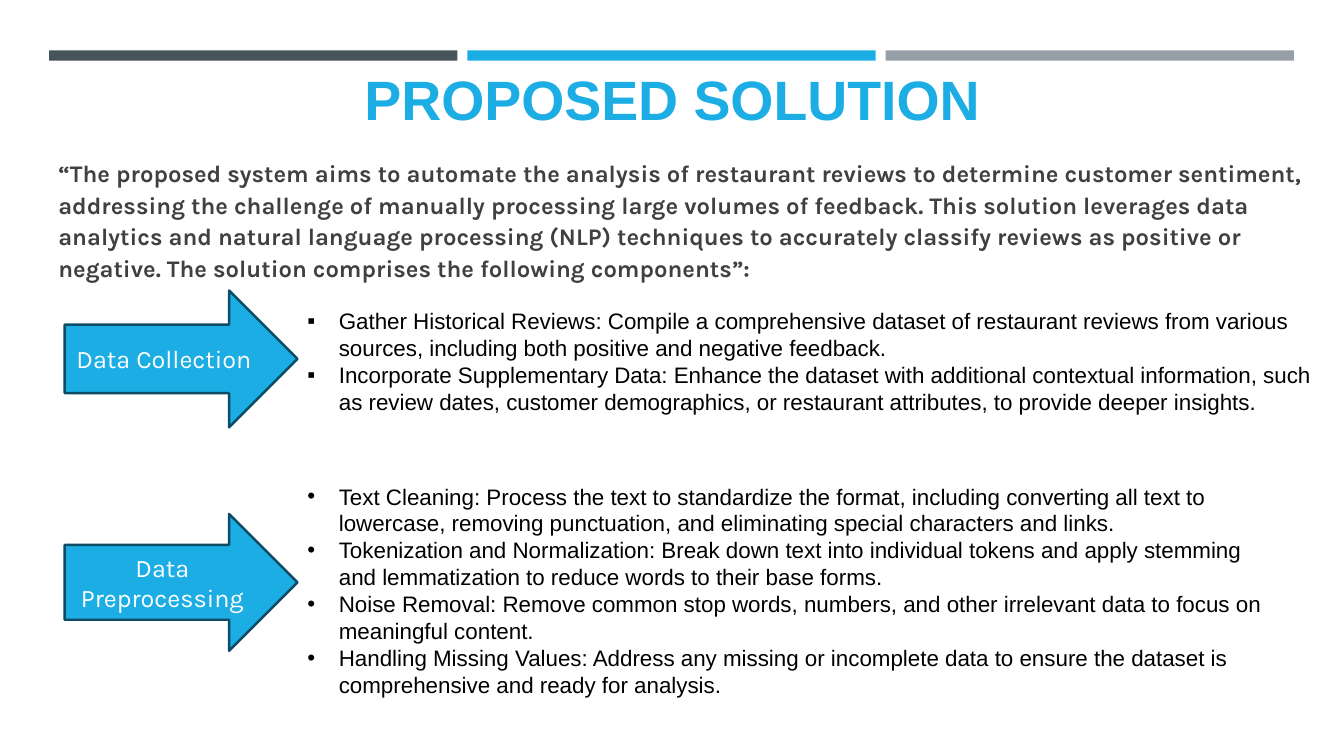
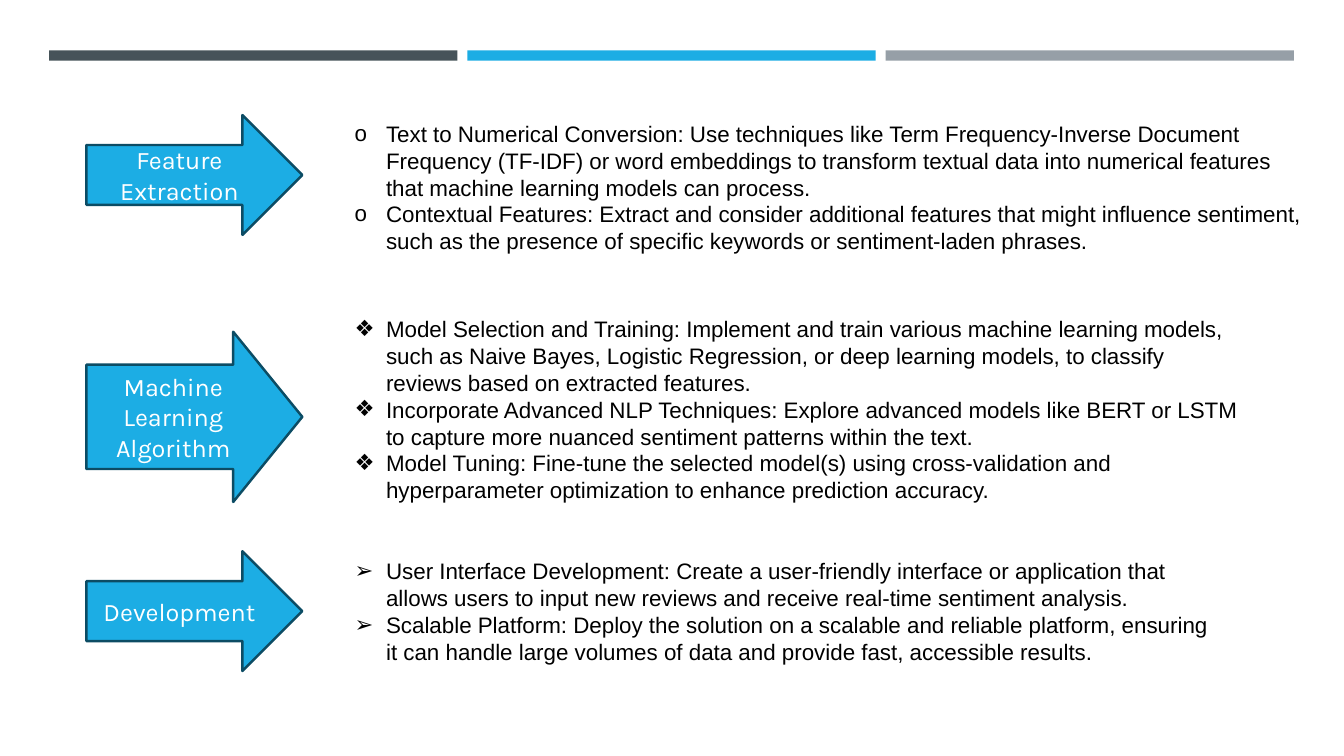
from dataclasses import dataclass

from lxml.etree import SubElement
from pptx import Presentation
from pptx.dml.color import RGBColor
from pptx.enum.shapes import MSO_SHAPE
from pptx.enum.text import MSO_ANCHOR, PP_ALIGN
from pptx.oxml.ns import qn
from pptx.util import Cm, Pt


@dataclass(frozen=True)
class Theme:
    accent: str = "1CADE4"
    outline: str = "0C4C64"
    bands: tuple = ("465359", "1CADE4", "969FA7")
    intro: str = "404040"
    body: str = "000000"
    label: str = "FFFFFF"
    body_font: str = "Arial"
    label_font: str = "Karla"
    title_size: float = 39.6
    intro_size: float = 17
    label_size: float = 18
    body_size: float = 16
    body_leading: float = 19.2


class Deck:
    """Holds the theme, the presentation and the slide being built."""

    def __init__(self, theme):
        self.theme = theme
        self.prs = Presentation()
        self.prs.slide_width, self.prs.slide_height = Cm(33.87), Cm(19.05)
        self.s = None

    def add_slide(self):
        self.s = self.prs.slides.add_slide(self.prs.slide_layouts[6])
        for i, color in enumerate(self.theme.bands):
            self._shape(MSO_SHAPE.RECTANGLE, 1.24 + 10.54 * i, 1.27, 10.29, 0.26, color)

    def _shape(self, kind, x, y, w, h, color):
        sp = self.s.shapes.add_shape(kind, Cm(x), Cm(y), Cm(w), Cm(h))
        sp.shadow.inherit = False
        sp.fill.solid()
        sp.fill.fore_color.rgb = RGBColor.from_string(color)
        sp.line.fill.background()
        return sp

    def _text(self, x, y, w, h, text, anchor=MSO_ANCHOR.TOP):
        tf = self.s.shapes.add_textbox(Cm(x), Cm(y), Cm(w), Cm(h)).text_frame
        tf.word_wrap = True
        tf.vertical_anchor = anchor
        tf.text = text
        return tf

    def _format(self, tf, font, size, color, bold=False, align=PP_ALIGN.LEFT):
        for p in tf.paragraphs:
            p.alignment = align
            for r in p.runs:
                r.font.name, r.font.size, r.font.bold = font, Pt(size), bold
                r.font.color.rgb = RGBColor.from_string(color)

    def title(self, text):
        t = self.theme
        tf = self._text(1.63, 1.96, 30.63, 1.47, text, MSO_ANCHOR.BOTTOM)
        self._format(tf, t.body_font, t.title_size, t.accent, True, PP_ALIGN.CENTER)

    def intro(self, text):
        t = self.theme
        tf = self._text(1.22, 4.01, 32.26, 3.02, text, MSO_ANCHOR.MIDDLE)
        p = tf.paragraphs[0]
        p.line_spacing, p.space_before, p.space_after = 1.1, Pt(3.4), Pt(6)
        self._format(tf, t.label_font, t.intro_size, t.intro, True)

    def arrow(self, x, y, w, h, label, adjust=(0.5, 0.5)):
        t = self.theme
        sp = self._shape(MSO_SHAPE.RIGHT_ARROW, x, y, w, h, t.accent)
        sp.adjustments[0], sp.adjustments[1] = adjust
        sp.line.color.rgb = RGBColor.from_string(t.outline)
        sp.line.width = Pt(1.75)
        tf = sp.text_frame
        tf.word_wrap = True
        tf.vertical_anchor = MSO_ANCHOR.MIDDLE
        tf.text = label
        self._format(tf, t.label_font, t.label_size, t.label, align=PP_ALIGN.CENTER)

    def bullets(self, x, y, w, h, mark, items):
        t = self.theme
        tf = self._text(x, y, w, h, "\n".join(items))
        self._format(tf, t.body_font, t.body_size, t.body)
        for p in tf.paragraphs:
            p.line_spacing = Pt(t.body_leading)
            pPr = p._p.get_or_add_pPr()
            pPr.set("marL", str(Cm(0.79)))
            pPr.set("indent", str(-Cm(0.79)))
            SubElement(pPr, qn("a:buFont"), typeface=t.body_font)
            SubElement(pPr, qn("a:buChar"), char=mark)

    def save(self):
        self.prs.save("out.pptx")


def proposed_solution(deck):
    deck.add_slide()
    deck.title("PROPOSED SOLUTION")
    deck.intro(
        "“The proposed system aims to automate the analysis of restaurant reviews to "
        "determine customer sentiment, addressing the challenge of manually processing "
        "large volumes of feedback. This solution leverages data analytics and natural "
        "language processing (NLP) techniques to accurately classify reviews as positive "
        "or negative. The solution comprises the following components”:")
    left, width, height = 1.63, 5.87, 3.45
    text_left = left + width
    deck.arrow(left, 7.32, width, height, "Data Collection")
    deck.bullets(text_left, 7.62, 25.81, 3.68, "▪", [
        "Gather Historical Reviews: Compile a comprehensive dataset of restaurant reviews "
        "from various sources, including both positive and negative feedback.",
        "Incorporate Supplementary Data: Enhance the dataset with additional contextual "
        "information, such as review dates, customer demographics, or restaurant "
        "attributes, to provide deeper insights."])
    deck.arrow(left, 12.95, width, height, "Data\nPreprocessing", (0.547, 0.5))
    deck.bullets(text_left, 12.04, 24.77, 5.74, "•", [
        "Text Cleaning: Process the text to standardize the format, including converting "
        "all text to lowercase, removing punctuation, and eliminating special characters "
        "and links.",
        "Tokenization and Normalization: Break down text into individual tokens and apply "
        "stemming and lemmatization to reduce words to their base forms.",
        "Noise Removal: Remove common stop words, numbers, and other irrelevant data to "
        "focus on meaningful content.",
        "Handling Missing Values: Address any missing or incomplete data to ensure the "
        "dataset is comprehensive and ready for analysis."])


def modelling_and_development(deck):
    deck.add_slide()
    left, width, height = 2.18, 5.44, 3.02
    text_left = 8.69
    deck.arrow(left, 2.9, width, height, "Feature Extraction")
    deck.bullets(text_left, 2.9, 24.36, 3.68, "o", [
        "Text to Numerical Conversion: Use techniques like Term Frequency-Inverse Document "
        "Frequency (TF-IDF) or word embeddings to transform textual data into numerical "
        "features that machine learning models can process.",
        "Contextual Features: Extract and consider additional features that might influence "
        "sentiment, such as the presence of specific keywords or sentiment-laden phrases."])
    deck.arrow(left, 8.36, width, 4.29, "Machine\nLearning\nAlgorithm", (0.613, 0.406))
    deck.bullets(text_left, 7.82, 22.91, 5.05, "❖", [
        "Model Selection and Training: Implement and train various machine learning models, "
        "such as Naive Bayes, Logistic Regression, or deep learning models, to classify "
        "reviews based on extracted features.",
        "Incorporate Advanced NLP Techniques: Explore advanced models like BERT or LSTM to "
        "capture more nuanced sentiment patterns within the text.",
        "Model Tuning: Fine-tune the selected model(s) using cross-validation and "
        "hyperparameter optimization to enhance prediction accuracy."])
    deck.arrow(left, 13.89, width, height, "Development")
    deck.bullets(text_left, 13.92, 22.43, 3, "➢", [
        "User Interface Development: Create a user-friendly interface or application that "
        "allows users to input new reviews and receive real-time sentiment analysis.",
        "Scalable Platform: Deploy the solution on a scalable and reliable platform, ensuring "
        "it can handle large volumes of data and provide fast, accessible results."])


def main():
    deck = Deck(Theme())
    proposed_solution(deck)
    modelling_and_development(deck)
    deck.save()


if __name__ == "__main__":
    main()
